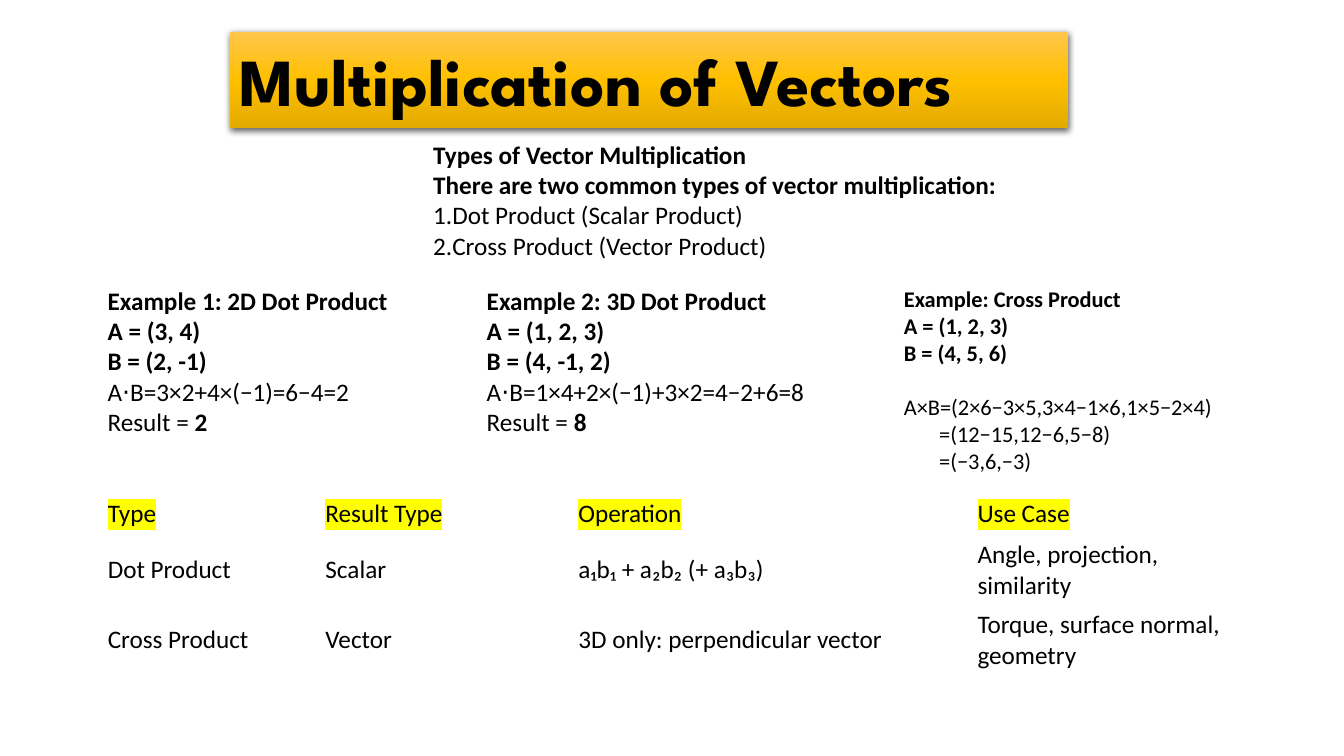
from copy import deepcopy

from pptx import Presentation
from pptx.dml.color import RGBColor
from pptx.enum.text import MSO_ANCHOR, MSO_AUTO_SIZE, PP_ALIGN
from pptx.oxml import parse_xml
from pptx.oxml.ns import nsdecls, qn
from pptx.util import Pt

COLOURS = {
    "text": "000000",
    "mark": "FFFF00",
    "gold_top": "FFC64B",
    "gold": "FFC000",
    "gold_base": "E3AB00",
}
ITEM, STEP, RESULT = "item", "step", "result"


def drawing(tag, body, attributes=""):
    """Build one DrawingML element."""
    return parse_xml(f'<a:{tag} {nsdecls("a")} {attributes}>{body}</a:{tag}>')


def style(para, size, bold=False, name="Calibri"):
    """Format every span and line break of a paragraph."""
    for span in para.runs:
        for key, value in {"size": Pt(size), "bold": bold, "name": name}.items():
            setattr(span.font, key, value)
        span.font.color.rgb = RGBColor.from_string(COLOURS["text"])
    for line_break in para._p.findall(qn("a:br")):
        line_break.append(deepcopy(para.runs[0]._r.rPr))


deck = Presentation()
deck.slide_width, deck.slide_height = Pt(960), Pt(540)
page = deck.slides.add_slide(deck.slide_layouts[5])

# Title on a golden bar
title = page.shapes.title
title.left, title.top, title.width, title.height = Pt(164.2), Pt(23), Pt(599), Pt(68.4)
stops = "".join(
    f'<a:gs pos="{place * 1000}"><a:srgbClr val="{COLOURS[name]}"/></a:gs>'
    for place, name in ((0, "gold_top"), (50, "gold"), (100, "gold_base"))
)
shadow = (
    '<a:outerShdw blurRad="57150" dist="19050" dir="5400000" algn="ctr" rotWithShape="0">'
    f'<a:srgbClr val="{COLOURS["text"]}"><a:alpha val="63000"/></a:srgbClr></a:outerShdw>'
)
for part in (
    drawing("prstGeom", "<a:avLst/>", 'prst="roundRect"'),
    drawing("gradFill", f'<a:gsLst>{stops}</a:gsLst><a:lin ang="5400000" scaled="0"/>'),
    drawing("ln", "<a:noFill/>"),
    drawing("effectLst", shadow),
):
    title._element.spPr.append(part)
frame = title.text_frame
frame.text = "Multiplication of Vectors"
frame.auto_size = MSO_AUTO_SIZE.NONE
frame.vertical_anchor = MSO_ANCHOR.MIDDLE
frame.paragraphs[0].alignment = PP_ALIGN.LEFT
style(frame.paragraphs[0], 48, True, "League Spartan")

# Introduction and worked examples: place, text size, lines as (text, bold, kind)
blocks = [
    ((302.4, 95.8, 480.2, 94.3), 18, [
        ("Types of Vector Multiplication", True, None),
        ("There are two common types of vector multiplication:", True, None),
        ("Dot Product (Scalar Product)", False, ITEM),
        ("Cross Product (Vector Product)", False, ITEM),
    ]),
    ((69.8, 200.2, 251.3, 116.6), 18, [
        ("Example 1: 2D Dot Product", True, None),
        ("A = (3, 4)\nB = (2, -1)", True, None),
        ("A⋅B=3×2+4×(−1)=6−4=2", False, None),
        ("2", True, RESULT),
    ]),
    ((340.6, 200.2, 266.4, 116.6), 18, [
        ("Example 2: 3D Dot Product", True, None),
        ("A = (1, 2, 3)\nB = (4, -1, 2)", True, None),
        ("A⋅B=1×4+2×(−1)+3×2=4−2+6=8", False, None),
        ("8", True, RESULT),
    ]),
    ((638.6, 200.2, 275, 143.3), 16, [
        ("Example: Cross Product", True, None),
        ("A = (1, 2, 3)\nB = (4, 5, 6)", True, None),
        ("A×B=(2×6−3×5,3×4−1×6,1×5−2×4)", False, None),
        ("=(12−15,12−6,5−8)", False, STEP),
        ("=(−3,6,−3)", False, STEP),
    ]),
]
for place, size, lines in blocks:
    frame = page.shapes.add_textbox(*map(Pt, place)).text_frame
    frame.word_wrap = True
    for number, (text, bold, kind) in enumerate(lines):
        para = frame.paragraphs[0] if number == 0 else frame.add_paragraph()
        para.text = "Result = " if kind == RESULT else text
        if kind == RESULT:
            para.add_run().text = text
        style(para, size, bold)
        properties = para._p.get_or_add_pPr()
        if kind == RESULT:
            para.runs[0].font.bold = False
        elif kind == ITEM:
            properties.append(drawing("buAutoNum", "", 'type="arabicPeriod"'))
        elif kind == STEP:
            properties.set("marL", str(Pt(25.2)))
        if text.startswith("A×B"):
            para.space_before = Pt(19.5)

# Comparison table
rows = [
    ("Type", "Result Type", "Operation", "Use Case"),
    ("Dot Product", "Scalar", "a₁b₁ + a₂b₂ (+ a₃b₃)", "Angle, projection, similarity"),
    ("Cross Product", "Vector", "3D only: perpendicular vector",
     "Torque, surface normal, geometry"),
]
table = page.shapes.add_table(3, 4, Pt(69.8), Pt(352.8), Pt(828), Pt(129.6)).table
table.first_row = table.horz_banding = False
for column, width in zip(table.columns, (155.5, 180.7, 285.1, 207.4)):
    column.width = Pt(width)
for row, height in zip(table.rows, (28.8, 50.4, 50.4)):
    row.height = Pt(height)
for row_number, texts in enumerate(rows):
    for column_number, text in enumerate(texts):
        cell = table.cell(row_number, column_number)
        cell.text = text
        cell.fill.background()
        cell.vertical_anchor = MSO_ANCHOR.MIDDLE
        para = cell.text_frame.paragraphs[0]
        style(para, 18)
        if row_number == 0:
            mark = drawing("highlight", f'<a:srgbClr val="{COLOURS["mark"]}"/>')
            para.runs[0]._r.rPr.find(qn("a:solidFill")).addnext(mark)

deck.save("out.pptx")
